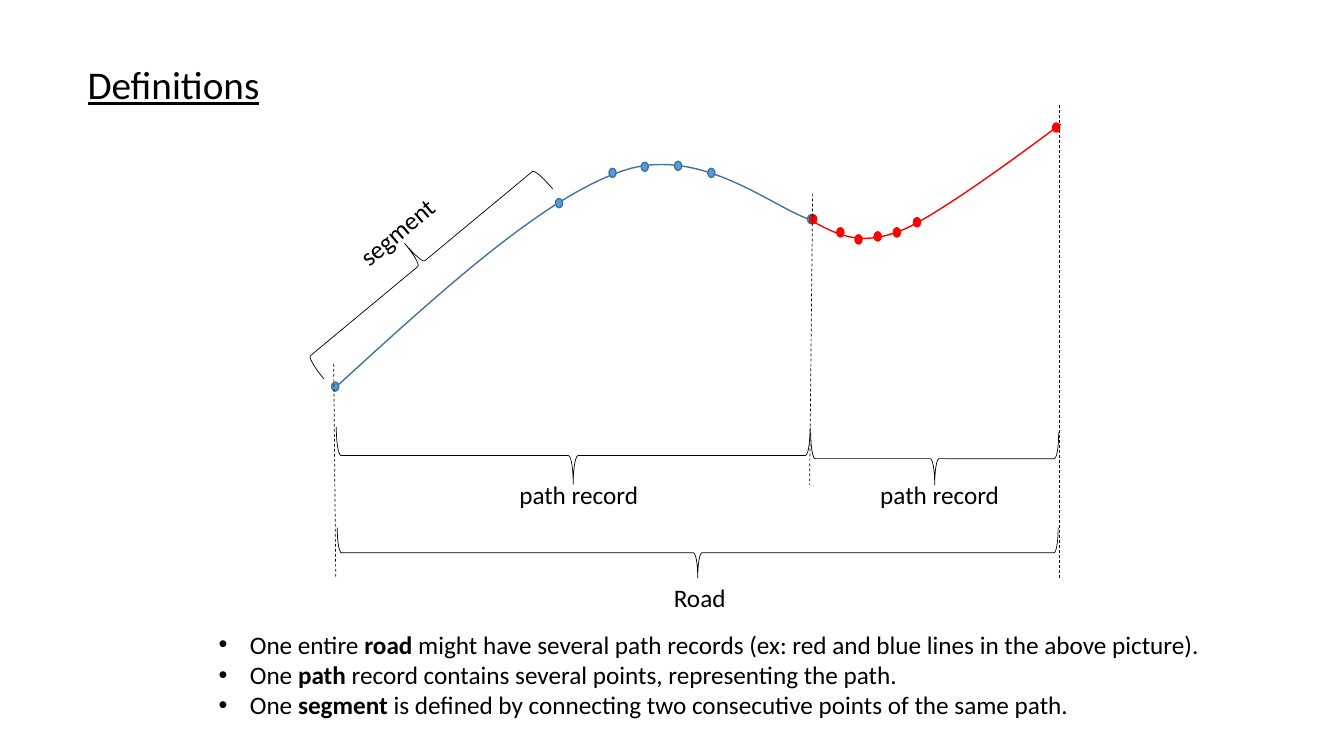
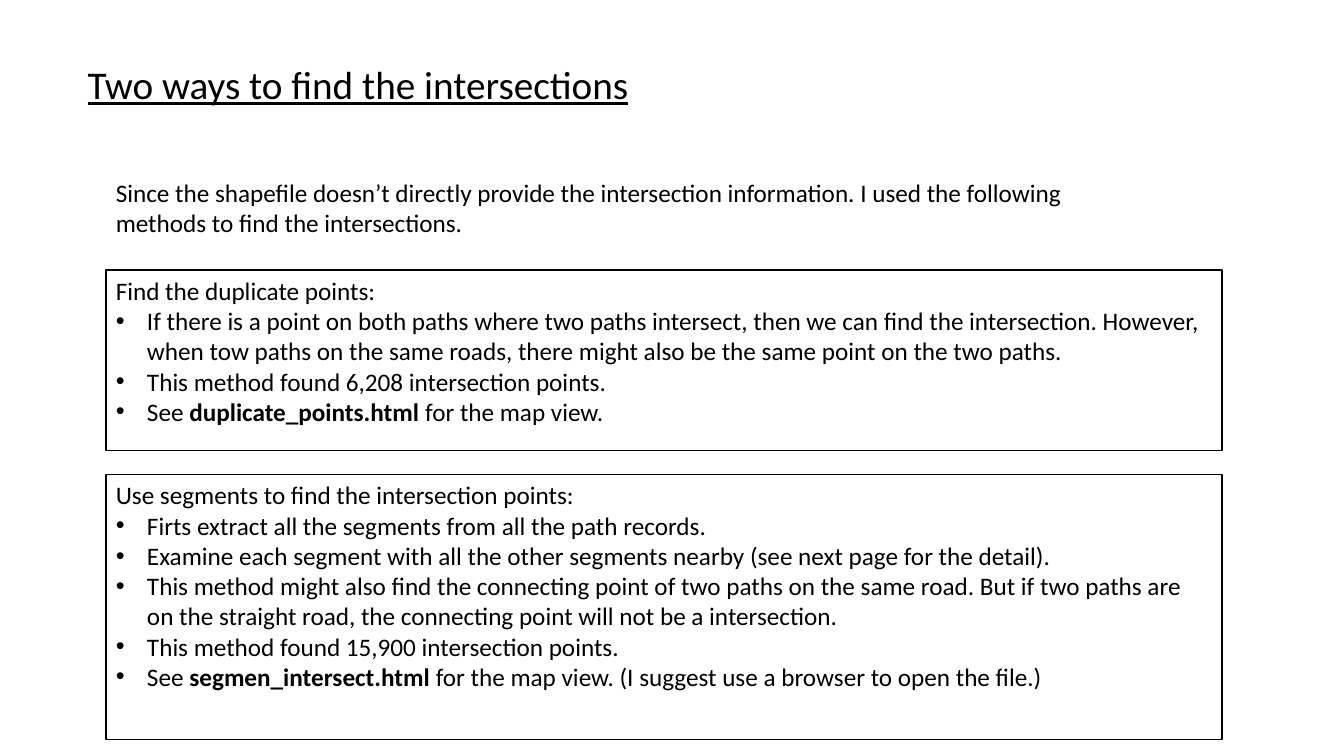
from pptx import Presentation
from pptx.util import Inches, Pt
from pptx.dml.color import RGBColor
from pptx.enum.dml import MSO_LINE as Dash
from pptx.enum.shapes import MSO_SHAPE as Kind, MSO_CONNECTOR as Link
from pptx.enum.text import PP_ALIGN as Align, MSO_ANCHOR as Anchor, MSO_AUTO_SIZE as Fit
from pptx.oxml.ns import qn
from lxml.etree import SubElement as Sub

BLACK = RGBColor(0, 0, 0)
WHITE = RGBColor(255, 255, 255)
BLUE = RGBColor(0x5B, 0x9B, 0xD5)
NAVY = RGBColor(0x43, 0x73, 0x9E)
RED = RGBColor(255, 0, 0)
FONT = "Calibri"
DOT = (0.07, 0.09)

BLUE_CURVE = [(0.31, 2.86), (1.34, 1.92), (2.36, 0.98), (3.16, 0.7),
              (3.95, 0.42), (4.68, 1.08), (5.07, 1.19)]
RED_CURVE = [(5.05, 1.19), (5.29, 1.32), (5.52, 1.45), (5.93, 1.29),
             (6.34, 1.13), (7.52, 0.23), (7.52, 0.23)]
BLUE_DOTS = [(0.29, 2.79), (2.51, 0.97), (3.04, 0.67), (3.36, 0.61),
             (3.69, 0.6), (4.02, 0.67), (5.01, 1.13)]
RED_DOTS = [(5.03, 1.13), (5.3, 1.26), (5.67, 1.3), (5.48, 1.33),
            (5.86, 1.26), (6.06, 1.16), (7.44, 0.22)]
BRACES = [(3.67, 0.91, 0.5, 7.15, 90), (2.4, 1.17, 0.57, 4.7, 90),
          (6.01, 2.32, 0.52, 2.46, 90), (0.92, 0.14, 0.52, 2.95, 230.3)]
LABELS = [("Road", 3.58, 4.73, 0.72, 0), ("path record", 2.04, 3.71, 1.4, 0),
          ("path record", 5.62, 3.71, 1.4, 0), ("segment", 0.39, 1.1, 1.09, 319.8)]
GUIDES = [(0.31, 2.61, 0.33, 4.73), (5.06, 0.92, 5.03, 3.81),
          (7.51, 0.04, 7.51, 4.73)]

NOTES = [
    ["One entire ", "*road", " might have several path records "
     "(ex: red and blue lines in the above picture)."],
    ["One ", "*path", " record contains several points, representing the path."],
    ["One ", "*segment", " is defined by connecting two consecutive points of the same path."],
]
INTRO = ("Since the shapefile doesn’t directly provide the intersection information. "
         "I used the following methods to find the intersections.")
POINTS = [
    ["If there is a point on both paths where two paths intersect, then we can find "
     "the intersection. However, when tow paths on the same roads, there might also "
     "be the same point on the two paths."],
    ["This method found 6,208 intersection points."],
    ["See ", "*duplicate_points.html", " for the map view."],
]
PARTS = [
    ["Firts extract all the segments from all the path records."],
    ["Examine each segment with all the other segments nearby (see next page for the detail)."],
    ["This method might also find the connecting point of two paths on the same road. "
     "But if two paths are on the straight road, the connecting point will not be a "
     "intersection."],
    ["This method found 15,900 intersection points."],
    ["See ", "*segmen_intersect.html ", "for the map view. (I suggest use a browser to open the file.)"],
]


def style(shape, fill, line, width):
    """Set fill and outline, and drop the shadow."""
    shape.shadow.inherit = False
    if fill is None:
        shape.fill.background()
    else:
        shape.fill.solid()
        shape.fill.fore_color.rgb = fill
    shape.line.color.rgb = line
    shape.line.width = Pt(width)


def put(slide, kind, box, fill, line, width=1, turn=0):
    """Add a styled preset shape."""
    shape = slide.shapes.add_shape(kind, *map(Inches, box))
    style(shape, fill, line, width)
    shape.rotation = turn
    return shape


def write(para, runs, size=18, under=None):
    """Add runs to a paragraph; a leading star marks bold."""
    for text in runs:
        run = para.add_run()
        run.text = text.removeprefix("*")
        font = run.font
        font.name, font.size, font.color.rgb = FONT, Pt(size), BLACK
        font.bold = text.startswith("*")
        font.underline = under


def bullet(para):
    """Give a paragraph a hanging round bullet."""
    props = para._p.get_or_add_pPr()
    props.set("marL", str(Inches(0.31)))
    props.set("indent", str(-Inches(0.31)))
    Sub(props, qn("a:buFont")).set("typeface", "Arial")
    Sub(props, qn("a:buChar")).set("char", "•")


def fill_list(frame, items, head=None):
    """Write an optional heading and the bulleted items."""
    rows = [([head], False)] if head else []
    rows += [(item, True) for item in items]
    for i, (runs, dot) in enumerate(rows):
        para = frame.add_paragraph() if i else frame.paragraphs[0]
        para.alignment = Align.LEFT
        if dot:
            bullet(para)
        write(para, runs)


def text_box(slide, box, wrap=False):
    """Add a text box and return its frame and shape."""
    shape = slide.shapes.add_textbox(*map(Inches, box))
    frame = shape.text_frame
    frame.word_wrap = wrap
    frame.auto_size = Fit.SHAPE_TO_FIT_TEXT
    return frame, shape


def title(slide, text, width):
    """Add the underlined slide title."""
    frame, _ = text_box(slide, (0.77, 0.55, width, 0.57))
    write(frame.paragraphs[0], [text], 28, True)


def bezier(a, b, c, d, t):
    """Return the point at t on a cubic curve."""
    s = 1 - t
    return tuple(s**3 * p + 3 * s * s * t * q + 3 * s * t * t * r + t**3 * e
                 for p, q, r, e in zip(a, b, c, d))


def curve(slide, x, y, knots, color):
    """Draw a chain of cubic curves as an open outline."""
    pts = [knots[0]]
    for i in range(0, len(knots) - 1, 3):
        pts += [bezier(*knots[i:i + 4], n / 24) for n in range(1, 25)]
    pts = [(Inches(x + u), Inches(y + v)) for u, v in pts]
    pen = slide.shapes.build_freeform(*pts[0])
    pen.add_line_segments(pts[1:], close=False)
    style(pen.convert_to_shape(), None, color, 1)


def guide(slide, ends):
    """Draw a thin dashed line."""
    line = slide.shapes.add_connector(Link.STRAIGHT, *map(Inches, ends))
    line.line.color.rgb = BLACK
    line.line.width = Pt(0.5)
    line.line.dash_style = Dash.DASH
    Sub(line._element.spPr, qn("a:effectLst"))


def diagram(slide, x, y):
    """Draw the road with its points, braces and labels."""
    curve(slide, x, y, BLUE_CURVE, NAVY)
    curve(slide, x, y, RED_CURVE, RED)
    for dots, fill, line in ((BLUE_DOTS, BLUE, NAVY), (RED_DOTS, RED, RED)):
        for u, v in dots:
            put(slide, Kind.OVAL, (x + u, y + v, *DOT), fill, line)
    for u, v, w, h, turn in BRACES:
        put(slide, Kind.RIGHT_BRACE, (x + u, y + v, w, h), None, BLACK, 0.5, turn)
    for text, u, v, w, turn in LABELS:
        frame, shape = text_box(slide, (x + u, y + v, w, 0.4))
        shape.rotation = turn
        frame.paragraphs[0].alignment = Align.CENTER
        write(frame.paragraphs[0], [text])
    for a, b, c, d in GUIDES:
        guide(slide, (x + a, y + b, x + c, y + d))


def method(slide, box, head, items):
    """Add a framed box describing one method."""
    frame = put(slide, Kind.RECTANGLE, box, WHITE, BLACK).text_frame
    frame.word_wrap = True
    frame.vertical_anchor = Anchor.TOP
    fill_list(frame, items, head)


def terms(slide):
    """Build the definitions slide."""
    title(slide, "Definitions", 1.93)
    diagram(slide, 3, 1)
    frame, _ = text_box(slide, (2.07, 6.19, 10.06, 1.01))
    fill_list(frame, NOTES)


def ways(slide):
    """Build the slide on the two methods."""
    title(slide, "Two ways to find the intersections", 5.63)
    frame, _ = text_box(slide, (1.05, 1.71, 10.37, 0.71), True)
    write(frame.paragraphs[0], [INTRO])
    method(slide, (1.05, 2.68, 11.07, 1.79), "Find the duplicate points:", POINTS)
    method(slide, (1.05, 4.71, 11.07, 2.63),
           "Use segments to find the intersection points:", PARTS)


def main():
    """Build and save the deck."""
    deck = Presentation()
    deck.slide_width, deck.slide_height = Inches(13.33), Inches(7.5)
    for build in (terms, ways):
        build(deck.slides.add_slide(deck.slide_layouts[6]))
    deck.save("out.pptx")


if __name__ == "__main__":
    main()
